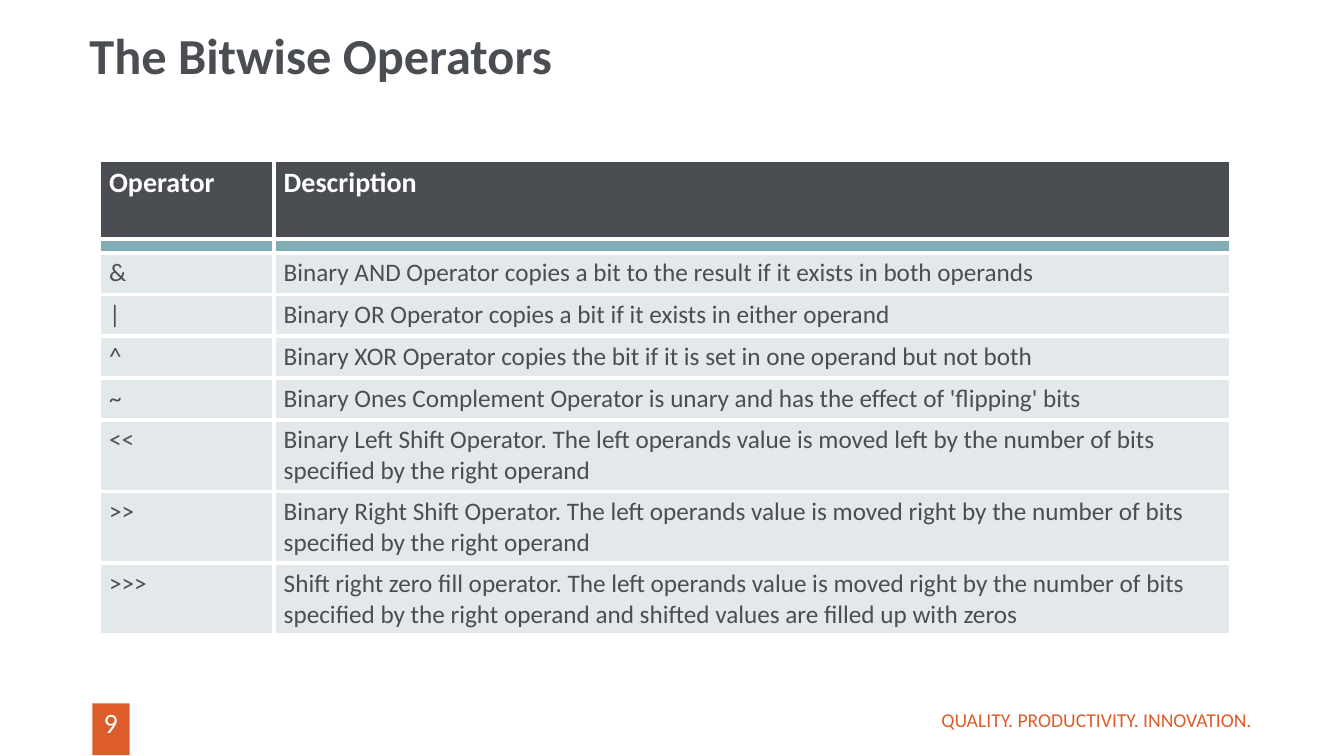
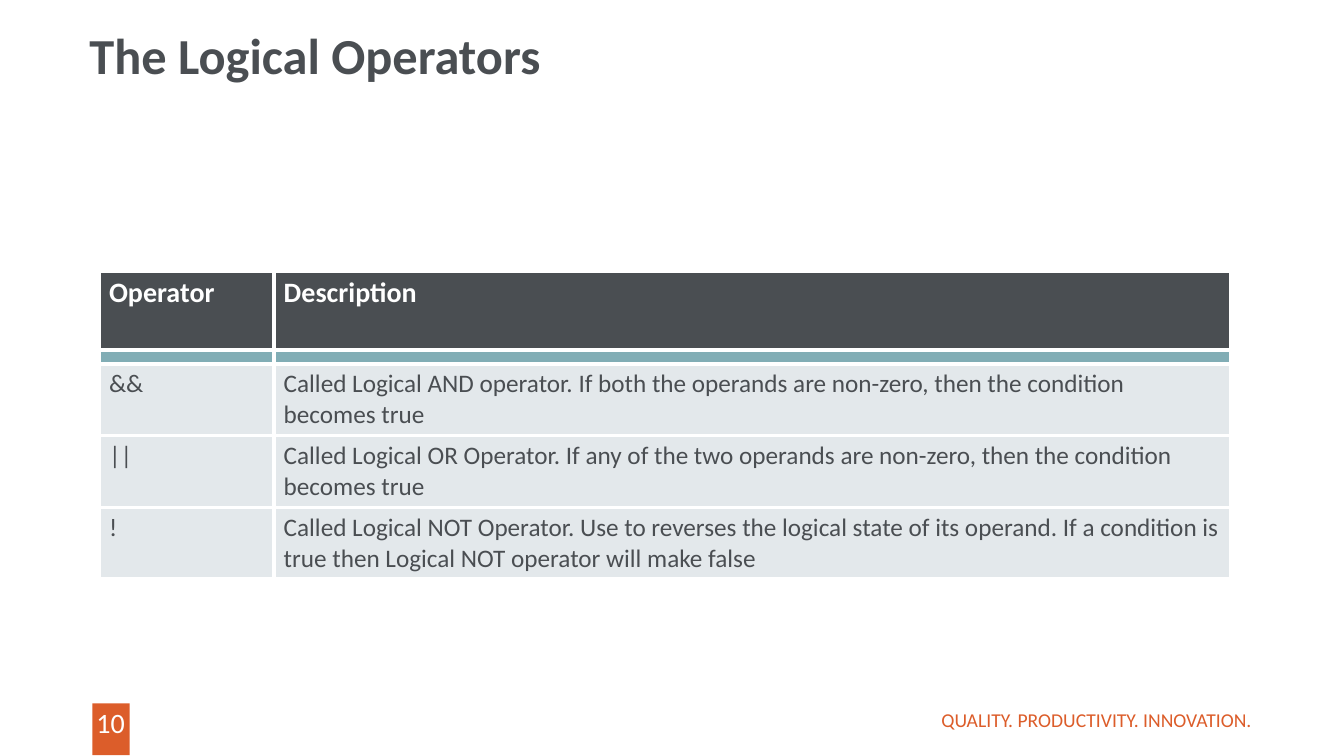
from lxml import etree
from pptx import Presentation
from pptx.dml.color import RGBColor
from pptx.enum.shapes import MSO_SHAPE as Shape
from pptx.enum.text import MSO_ANCHOR as Anchor, PP_ALIGN as Align
from pptx.oxml.ns import qn
from pptx.util import Pt

CHARCOAL = RGBColor(0x4A, 0x4E, 0x52)
TEAL = RGBColor(0x81, 0xAD, 0xB5)
MIST = RGBColor(0xE3, 0xE8, 0xEB)
ORANGE = RGBColor(0xDC, 0x5D, 0x2A)
WHITE = RGBColor(0xFF, 0xFF, 0xFF)

MOTTO = "QUALITY. PRODUCTIVITY. INNOVATION."
HEADINGS = ("Operator", "Description")
BITWISE = [
    ("&", "Binary AND Operator copies a bit to the result if it exists in both operands"),
    ("|", "Binary OR Operator copies a bit if it exists in either operand"),
    ("^", "Binary XOR Operator copies the bit if it is set in one operand but not both"),
    ("~", "Binary Ones Complement Operator is unary and has the effect of 'flipping' bits"),
    ("<<", "Binary Left Shift Operator. The left operands value is moved left by the "
           "number of bits specified by the right operand"),
    (">>", "Binary Right Shift Operator. The left operands value is moved right by the "
           "number of bits specified by the right operand"),
    (">>>", "Shift right zero fill operator. The left operands value is moved right by the "
            "number of bits specified by the right operand and shifted values are filled "
            "up with zeros"),
]
LOGICAL = [
    ("&&", "Called Logical AND operator. If both the operands are non-zero, then the "
           "condition becomes true"),
    ("||", "Called Logical OR Operator. If any of the two operands are non-zero, then the "
           "condition becomes true"),
    ("!", "Called Logical NOT Operator. Use to reverses the logical state of its operand. "
          "If a condition is true then Logical NOT operator will make false"),
]


class Deck:
    FONT = "Calibri"
    COLUMNS = (124.8, 683.8)
    HEADING_HEIGHT, BAND_HEIGHT = 56.2, 10
    ROW_HEIGHT, TALL_ROW_HEIGHT = 29.8, 51.3
    LINE_LENGTH = 90
    BORDER = 3

    def __init__(self):
        self.prs = Presentation()
        self.prs.slide_width, self.prs.slide_height = Pt(960), Pt(540)
        self.slide = None

    def style(self, paragraph, size, color, bold=False, align=Align.LEFT):
        paragraph.alignment = align
        font = paragraph.font
        font.name, font.size, font.bold = self.FONT, Pt(size), bold
        font.color.rgb = color

    def text(self, box, words, size, color, bold=False, align=Align.LEFT,
             anchor=Anchor.TOP, insets=(0, 0, 0, 0)):
        frame = self.slide.shapes.add_textbox(*map(Pt, box)).text_frame
        frame.word_wrap = True
        frame.vertical_anchor = anchor
        (frame.margin_left, frame.margin_top,
         frame.margin_right, frame.margin_bottom) = map(Pt, insets)
        paragraph = frame.paragraphs[0]
        paragraph.text = words
        self.style(paragraph, size, color, bold, align)
        return paragraph

    def page(self, title, number):
        self.slide = self.prs.slides.add_slide(self.prs.slide_layouts[6])
        tab = self.slide.shapes.add_shape(Shape.RECTANGLE, Pt(66), Pt(502.4), Pt(26.6), Pt(37))
        tab.shadow.inherit = False
        tab.fill.solid()
        tab.fill.fore_color.rgb = ORANGE
        tab.line.fill.background()
        self.text((61.7, 504, 34.6, 24.5), str(number), 20, WHITE, align=Align.CENTER)
        heading = self.text((63.9, 18.7, 670.3, 85.7), title, 36, CHARCOAL, bold=True,
                            insets=(0, 3.6, 7.2, 3.6))
        heading.line_spacing = 0.9
        self.text((601.2, 499.7, 293, 28.8), MOTTO, 14, ORANGE, align=Align.RIGHT,
                  anchor=Anchor.MIDDLE)

    def paint(self, cell, color):
        cell.fill.solid()
        cell.fill.fore_color.rgb = color
        properties = cell._tc.get_or_add_tcPr()
        for index, side in enumerate(("lnL", "lnR", "lnT", "lnB")):
            line = etree.Element(qn(f"a:{side}"), w=str(Pt(self.BORDER)))
            fill = etree.SubElement(line, qn("a:solidFill"))
            etree.SubElement(fill, qn("a:srgbClr"), val=str(WHITE))
            properties.insert(index, line)

    def fill_row(self, cells, words, fill, size, color, bold=False):
        for cell, entry in zip(cells, words):
            self.paint(cell, fill)
            cell.text = entry
            self.style(cell.text_frame.paragraphs[0], size, color, bold)

    def band(self, cells):
        for cell in cells:
            self.paint(cell, TEAL)
            cell.margin_top = cell.margin_bottom = 0
            paragraph = cell.text_frame.paragraphs[0]
            etree.SubElement(paragraph._p, qn("a:endParaRPr"), sz="100")

    def row_height(self, description):
        return self.TALL_ROW_HEIGHT if len(description) > self.LINE_LENGTH else self.ROW_HEIGHT

    def operators(self, top, entries):
        heights = [self.HEADING_HEIGHT, self.BAND_HEIGHT]
        heights += [self.row_height(description) for _, description in entries]
        table = self.slide.shapes.add_table(
            len(heights), len(self.COLUMNS), Pt(70.7), Pt(top),
            Pt(sum(self.COLUMNS)), Pt(sum(heights))).table
        for column, width in zip(table.columns, self.COLUMNS):
            column.width = Pt(width)
        for row, height in zip(table.rows, heights):
            row.height = Pt(height)
        heading, band, *body = table.rows
        self.fill_row(heading.cells, HEADINGS, CHARCOAL, 20, WHITE, bold=True)
        self.band(band.cells)
        for row, entry in zip(body, entries):
            self.fill_row(row.cells, entry, MIST, 18, CHARCOAL)


def main():
    deck = Deck()
    deck.page("The Bitwise Operators", 9)
    deck.operators(114.5, BITWISE)
    deck.page("The Logical Operators", 10)
    deck.operators(193.7, LOGICAL)
    deck.prs.save("out.pptx")


if __name__ == "__main__":
    main()
